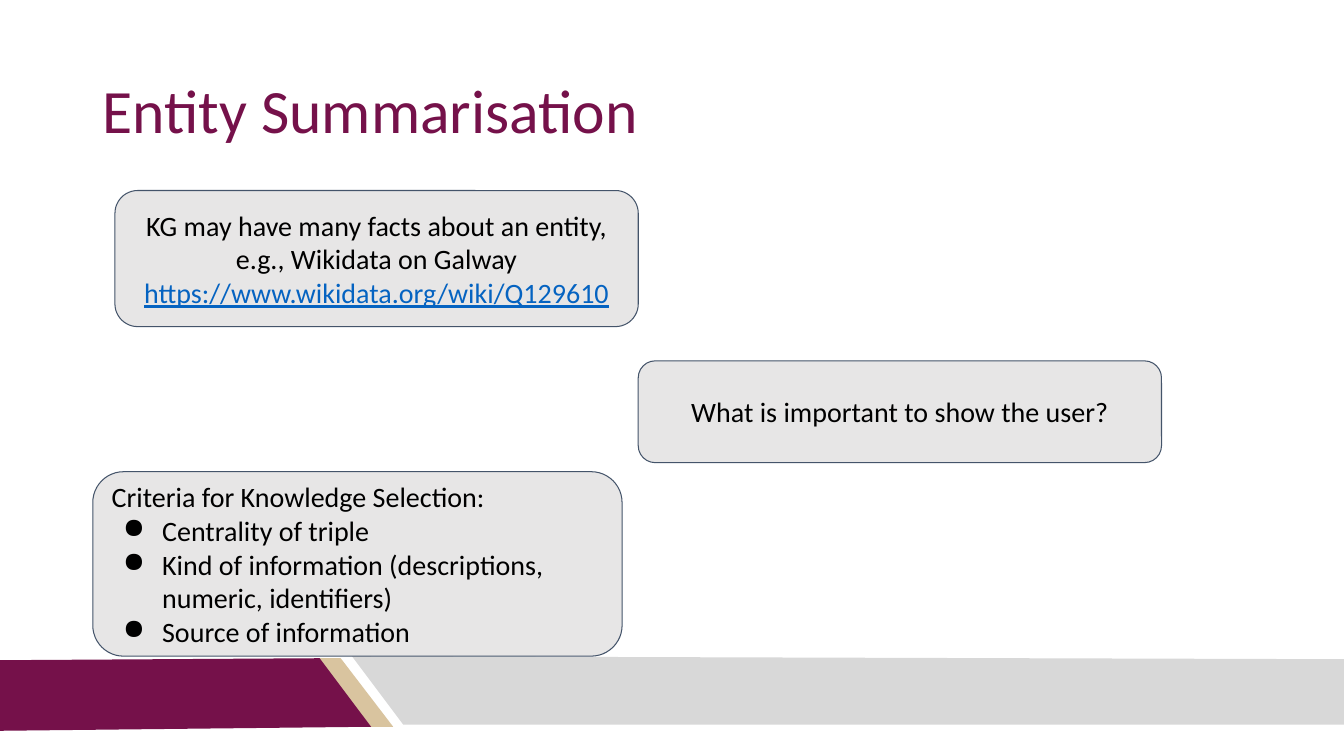
from dataclasses import dataclass

from lxml.etree import SubElement
from pptx import Presentation
from pptx.dml.color import RGBColor as Rgb
from pptx.enum.shapes import MSO_SHAPE as Preset
from pptx.enum.text import MSO_ANCHOR as Anchor, PP_ALIGN as Align
from pptx.oxml.ns import qn
from pptx.util import Pt

PX = 9144  # EMU per px, 100 px to the inch


@dataclass(frozen=True)
class Theme:
    font: str = "Calibri"
    title_size: int = 44
    body_size: int = 20
    maroon: str = "75114A"
    sand: str = "D9C49F"
    silver: str = "D8D8D8"
    panel: str = "E7E6E6"
    outline: str = "44546A"
    ink: str = "000000"
    link: str = "0563C1"


THEME = Theme()


def paint(shape, colour):
    shape.shadow.inherit = False
    shape.fill.solid()
    shape.fill.fore_color.rgb = Rgb.from_string(colour)


def add_band(page, colour, points):
    """Draw one filled polygon of the footer."""
    builder = page.shapes.build_freeform(*points[0], scale=PX)
    builder.add_line_segments(points[1:], close=True)
    band = builder.convert_to_shape()
    paint(band, colour)
    band.line.fill.background()


def set_up_frame(shape):
    frame = shape.text_frame
    frame.word_wrap = True
    frame.vertical_anchor = Anchor.MIDDLE
    frame.margin_left = frame.margin_right = 10 * PX
    frame.margin_top = frame.margin_bottom = 10 * PX
    return frame


def add_span(para, text, size, colour):
    span = para.add_run()
    span.text = text
    span.font.name = THEME.font
    span.font.size = Pt(size)
    span.font.color.rgb = Rgb.from_string(colour)
    return span


def add_title(page, text):
    box = page.shapes.add_textbox(92 * PX, 40 * PX, 1150 * PX, 145 * PX)
    para = set_up_frame(box).paragraphs[0]
    para.line_spacing = 0.9
    add_span(para, text, THEME.title_size, THEME.maroon)


def add_panel(page, left, top, width, height):
    """Draw a rounded panel and return its text frame."""
    panel = page.shapes.add_shape(
        Preset.ROUNDED_RECTANGLE, left * PX, top * PX, width * PX, height * PX)
    panel.adjustments[0] = 0.167
    paint(panel, THEME.panel)
    panel.line.color.rgb = Rgb.from_string(THEME.outline)
    panel.line.width = Pt(0.75)
    return set_up_frame(panel)


def add_para(frame, text, align, colour=THEME.ink):
    """Fill the empty first paragraph, or append another one."""
    para = frame.paragraphs[0]
    if para.runs:
        para = frame.add_paragraph()
    para.alignment = align
    return para, add_span(para, text, THEME.body_size, colour)


def add_bullet(frame, text):
    para, _ = add_para(frame, text, Align.LEFT)
    props = para._p.get_or_add_pPr()
    props.set("marL", str(50 * PX))
    props.set("indent", str(-39 * PX))
    bullet_colour = SubElement(props, qn("a:buClr"))
    SubElement(bullet_colour, qn("a:srgbClr"), val=THEME.ink)
    SubElement(props, qn("a:buChar"), char="●")


def main():
    deck = Presentation()
    deck.slide_width, deck.slide_height = 1333 * PX, 750 * PX
    page = deck.slides.add_slide(deck.slide_layouts[6])

    add_band(page, THEME.sand, [(316, 653), (338, 653), (390, 721), (367, 721)])
    add_band(page, THEME.maroon, [(-1, 655), (317, 653), (368, 721), (-1, 725)])
    add_band(page, THEME.silver,
             [(1337, 719), (400, 719), (349, 651), (1334, 654)])

    add_title(page, "Entity Summarisation")

    facts = add_panel(page, 114, 189, 519, 135)
    add_para(facts, "KG may have many facts about an entity, "
             "e.g., Wikidata on Galway", Align.CENTER)
    _, address = add_para(facts, "https://www.wikidata.org/wiki/Q129610",
                          Align.CENTER, THEME.link)
    address.font.underline = True

    question = add_panel(page, 633, 358, 519, 101)
    add_para(question, "What is important to show the user?", Align.CENTER)

    criteria = add_panel(page, 92, 468, 525, 183)
    add_para(criteria, "Criteria for Knowledge Selection:", Align.LEFT)
    for criterion in (
        "Centrality of triple",
        "Kind of information (descriptions, numeric, identifiers)",
        "Source of information",
    ):
        add_bullet(criteria, criterion)

    deck.save("out.pptx")


if __name__ == "__main__":
    main()
